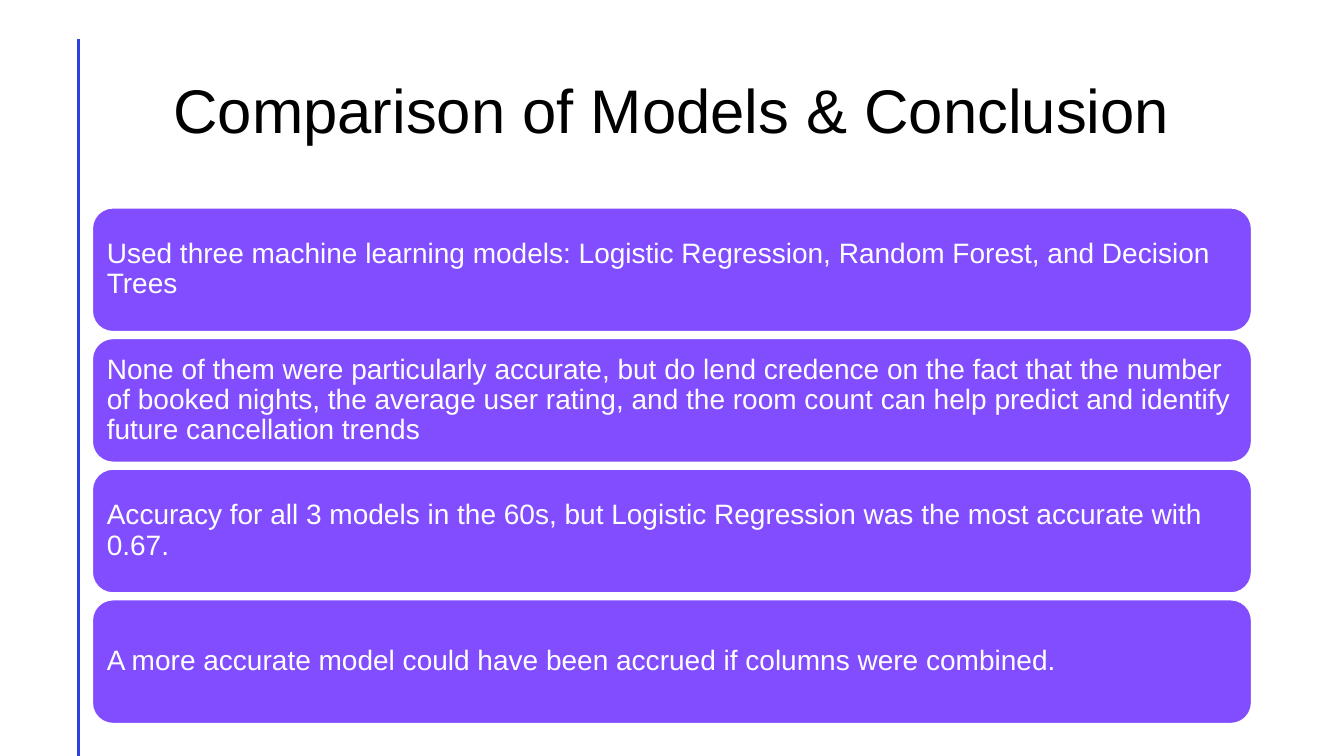
from lxml import etree
from pptx import Presentation
from pptx.enum import shapes, text
from pptx.dml.color import RGBColor
from pptx.oxml import ns
from pptx.util import Pt

COLORS = {"accent": "2F3FE0", "card": "814DFF", "white": "FFFFFF", "black": "000000"}
FONT = "Arial"

LEFT, WIDTH = 66, 828
CARD_TOP, CARD_HEIGHT, CARD_STEP = 148.5, 88.4, 93.3

FINDINGS = [
    "Used three machine learning models: Logistic Regression, Random Forest, and Decision Trees",
    "None of them were particularly accurate, but do lend credence on the fact that the number "
    "of booked nights, the average user rating, and the room count can help predict and identify "
    "future cancellation trends",
    "Accuracy for all 3 models in the 60s, but Logistic Regression was the most accurate with 0.67.",
    "A more accurate model could have been accrued if columns were combined.",
]


class SlideBuilder:
    def __init__(self, page):
        self.page = page

    def color(self, name):
        return RGBColor.from_string(COLORS[name])

    def set_text(self, box, words, size, color, align, inset):
        frame = box.text_frame
        frame.word_wrap = True
        frame.vertical_anchor = text.MSO_ANCHOR.MIDDLE
        frame.margin_left = frame.margin_right = Pt(inset)
        frame.margin_top = frame.margin_bottom = Pt(inset)
        para = frame.paragraphs[0]
        para.text = words
        para.alignment = align
        para.line_spacing = 0.9
        para.font.name = FONT
        para.font.size = Pt(size)
        para.font.color.rgb = self.color(color)

    def rule(self, x, top, bottom):
        line = self.page.shapes.add_connector(
            shapes.MSO_CONNECTOR.STRAIGHT, Pt(x), Pt(top), Pt(x), Pt(bottom))
        line.line.color.rgb = self.color("accent")
        line.line.width = Pt(2)
        etree.SubElement(line._element.spPr, ns.qn("a:effectLst"))

    def title(self, words, left, top, width, height):
        box = self.page.shapes.add_textbox(Pt(left), Pt(top), Pt(width), Pt(height))
        self.set_text(box, words, 44, "black", text.PP_ALIGN.CENTER, 4)

    def card(self, words, left, top, width, height):
        box = self.page.shapes.add_shape(
            shapes.MSO_SHAPE.ROUNDED_RECTANGLE, Pt(left), Pt(top), Pt(width), Pt(height))
        box.shadow.inherit = False
        box.fill.solid()
        box.fill.fore_color.rgb = self.color("card")
        box.line.color.rgb = self.color("white")
        box.line.width = Pt(1)
        self.set_text(box, words, 20, "white", text.PP_ALIGN.LEFT, 6)


def main():
    deck = Presentation()
    deck.slide_width, deck.slide_height = Pt(960), Pt(540)
    builder = SlideBuilder(deck.slides.add_slide(deck.slide_layouts[6]))

    # Side rule and heading
    builder.rule(56, 28, 540)
    builder.title("Comparison of Models & Conclusion", LEFT, 28.8, WIDTH, 104.4)

    # Stacked findings
    for row, finding in enumerate(FINDINGS):
        builder.card(finding, LEFT, CARD_TOP + row * CARD_STEP, WIDTH, CARD_HEIGHT)

    deck.save("out.pptx")


if __name__ == "__main__":
    main()
